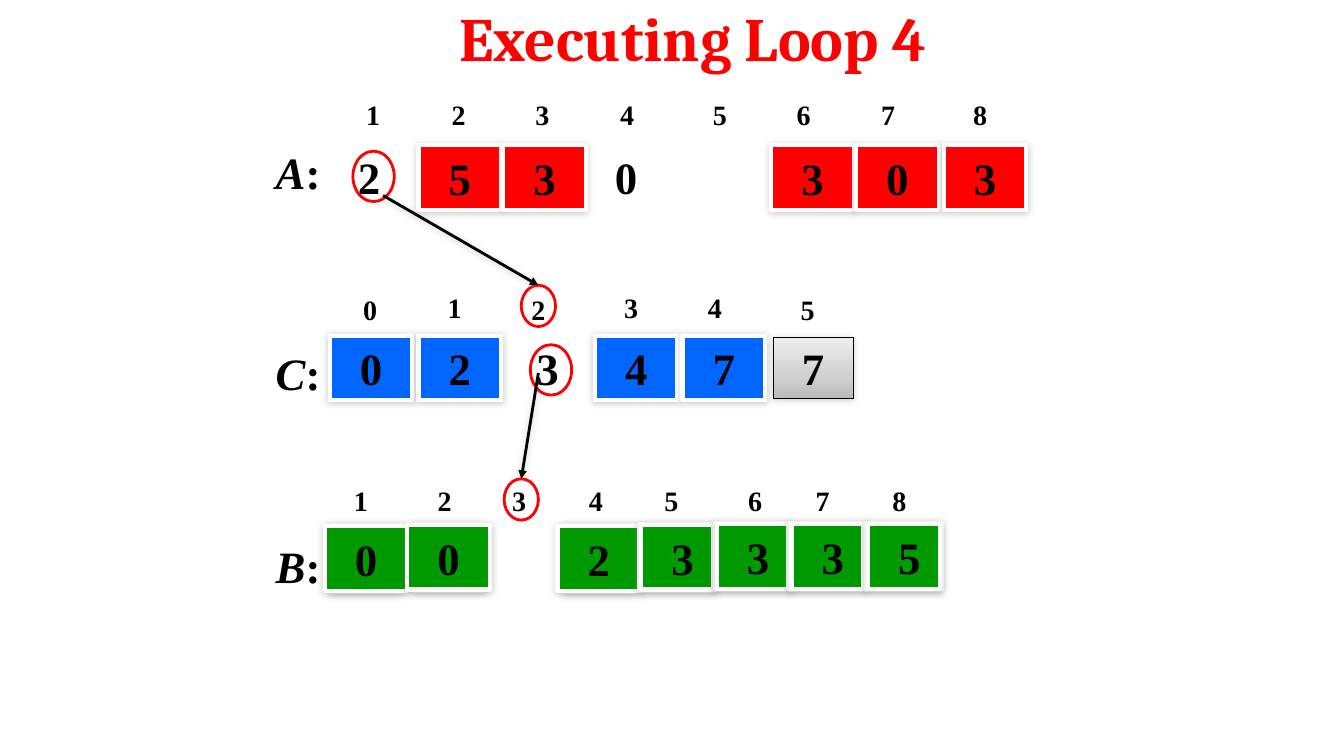
from copy import deepcopy

from pptx import Presentation
from pptx.dml.color import RGBColor
from pptx.enum.shapes import MSO_CONNECTOR, MSO_SHAPE
from pptx.enum.text import MSO_ANCHOR, PP_ALIGN
from pptx.oxml import parse_xml
from pptx.oxml.ns import nsdecls, qn
from pptx.util import Inches, Pt

COLORS = {
    "red": "FF0000", "blue": "0066FF", "green": "009900", "olive": "9BBB59",
    "white": "FFFFFF", "black": "000000", "shadow": "808080",
    "gray dark": "BBBBBB", "gray mid": "D0D0D0", "gray light": "EDEDED",
}
CELL_WIDTH, NARROW_WIDTH, CELL_HEIGHT = 0.82, 0.71, 0.64


def rgb(name):
    return RGBColor.from_string(COLORS[name])


class ArraySlide:
    """Draws array cells, labels, circles and arrows in one style."""

    title_font, font = "Cambria", "Times New Roman"
    inset = 0.05

    def __init__(self, slide):
        self.slide = slide
        self.shapes = slide.shapes

    def set_effects(self, shape, shadow=True):
        """Replace the theme's effect by a soft shadow, or by none."""
        effects = ""
        if shadow:
            effects = (
                f'<a:outerShdw blurRad="{Pt(5)}" dist="{Pt(1)}" dir="5400000" rotWithShape="0">'
                f'<a:srgbClr val="{COLORS["shadow"]}"><a:alpha val="38000"/></a:srgbClr></a:outerShdw>')
        shape.element.spPr.append(
            parse_xml(f'<a:effectLst {nsdecls("a")}>{effects}</a:effectLst>'))

    def set_text(self, shape, text, size, align=PP_ALIGN.CENTER, anchor=MSO_ANCHOR.TOP,
                 font=None, color="black"):
        frame = shape.text_frame
        frame.margin_left = frame.margin_right = Inches(self.inset)
        frame.margin_top = frame.margin_bottom = Inches(self.inset)
        frame.word_wrap = False
        frame.vertical_anchor = anchor
        frame.text = text
        paragraph = frame.paragraphs[0]
        paragraph.alignment = align
        for run in paragraph.runs:
            run.font.name = font or self.font
            run.font.size = Pt(size)
            run.font.bold = True
            run.font.color.rgb = rgb(color)
        return frame

    def title(self, text, left, top, width, height):
        heading = self.shapes.title
        heading.left, heading.top = Inches(left), Inches(top)
        heading.width, heading.height = Inches(width), Inches(height)
        frame = self.set_text(heading, text, 44, anchor=MSO_ANCHOR.MIDDLE,
                              font=self.title_font, color="red")
        frame.word_wrap = True
        frame.margin_right = Inches(0.21)

    def label(self, text, left, top, width, height, size, **style):
        box = self.shapes.add_textbox(Inches(left), Inches(top), Inches(width), Inches(height))
        return self.set_text(box, text, size, **style)

    def index(self, text, left, top):
        self.label(text, left, top, 0.26, 0.41, 20)

    def array_name(self, name, top):
        frame = self.label(name, 2.67, top, 0.56, 0.6, 32, align=PP_ALIGN.RIGHT)
        paragraph = frame.paragraphs[0]
        letter = paragraph.runs[0]
        colon = paragraph.add_run()
        colon.text = ":"
        colon.font.name, colon.font.size = letter.font.name, letter.font.size
        colon.font.bold = True
        colon.font.color.rgb = rgb("black")
        letter.font.italic = True

    def block(self, kind, left, top, width, height, fill, line="white", line_width=3, shadow=True):
        shape = self.shapes.add_shape(
            kind, Inches(left), Inches(top), Inches(width), Inches(height))
        if fill:
            shape.fill.solid()
            shape.fill.fore_color.rgb = rgb(fill)
        else:
            shape.fill.background()
        shape.line.color.rgb = rgb(line)
        shape.line.width = Pt(line_width)
        self.set_effects(shape, shadow)
        return shape

    def cell(self, value, left, top, fill, width=CELL_WIDTH, height=CELL_HEIGHT, **style):
        box = self.block(MSO_SHAPE.RECTANGLE, left, top, width, height, fill, **style)
        self.set_text(box, value, 32, anchor=MSO_ANCHOR.MIDDLE)
        return box

    def sorted_cell(self, value, left, top, narrow):
        """A green cell on a rounded backing; narrow cells hold the value right of centre."""
        back_offset, back_width = (-0.02, 0.75) if narrow else (0.07, 0.68)
        backing = self.block(MSO_SHAPE.ROUNDED_RECTANGLE, left + back_offset, top - 0.01,
                             back_width, 0.66, "olive")
        backing.adjustments[0] = 0.003
        box = self.cell(value, left, top, "green", NARROW_WIDTH if narrow else CELL_WIDTH)
        if narrow:
            box.text_frame.margin_left = Inches(0.16)

    def gray_cell(self, value, left, top):
        box = self.cell(value, left, top, "white", 0.79, 0.6, line="black", line_width=0.25)
        box.fill.gradient()
        box.fill.gradient_angle = 90
        first, last = box.fill.gradient_stops
        first.color.rgb, last.color.rgb = rgb("gray dark"), rgb("gray light")
        stops = box.element.spPr.find(qn("a:gradFill")).find(qn("a:gsLst"))
        middle = deepcopy(stops[0])
        middle.set("pos", "35000")
        middle[0].set("val", COLORS["gray mid"])
        stops.insert(1, middle)

    def circle(self, left, top, width, height):
        return self.block(MSO_SHAPE.OVAL, left, top, width, height, None, "red", 2, shadow=False)

    def arrow(self, start, target):
        """Arrow from a point to the top of a circle."""
        x, y = map(Inches, start)
        line = self.shapes.add_connector(MSO_CONNECTOR.STRAIGHT, x, y, x, y)
        line.end_connect(target, 0)
        line.line.color.rgb = rgb("black")
        line.line.width = Pt(2)
        line.element.spPr.find(qn("a:ln")).append(
            parse_xml(f'<a:tailEnd {nsdecls("a")} type="triangle"/>'))
        self.set_effects(line)


def main():
    deck = Presentation()
    deck.slide_width, deck.slide_height = Inches(13.33), Inches(7.5)
    page = ArraySlide(deck.slides.add_slide(deck.slide_layouts[5]))
    page.title("Executing Loop 4", 2.83, -0.17, 8.25, 1.08)

    for name, top in (("A", 1.39), ("C", 3.38), ("B", 5.3)):
        page.array_name(name, top)

    a_lefts = (3.57, 4.42, 5.25, 6.09, 7.01, 7.84, 8.68, 9.59)
    b_lefts = (3.45, 4.28, 5.02, 5.78, 6.53, 7.36, 8.03, 8.79)
    for lefts, top in ((a_lefts, 0.92), (b_lefts, 4.75)):
        for number, left in enumerate(lefts, 1):
            page.index(str(number), left, top)
    c_indexes = ((3.54, 2.85), (4.38, 2.83), (5.21, 2.85), (6.13, 2.83), (6.96, 2.83), (7.88, 2.85))
    for number, (left, top) in enumerate(c_indexes):
        page.index(str(number), left, top)

    for value, left in zip("53303", (4.15, 4.99, 7.65, 8.49, 9.36)):
        page.cell(value, left, 1.44, "red")
    for value, left in (("2", 3.5), ("0", 6.05)):
        page.label(value, left, 1.44, 0.36, 0.6, 32, align=PP_ALIGN.LEFT)

    for value, left in zip("0247", (3.27, 4.15, 5.9, 6.77)):
        page.cell(value, left, 3.33, "blue")
    page.label("3", 5.04, 3.35, 0.78, 0.6, 32, anchor=MSO_ANCHOR.MIDDLE)
    page.gray_cell("7", 7.67, 3.35)

    for value, left, top in (("0", 3.22, 5.22), ("0", 4.04, 5.21), ("2", 5.53, 5.22),
                             ("3", 6.36, 5.21), ("3", 7.11, 5.2), ("3", 7.85, 5.2),
                             ("5", 8.61, 5.2)):
        page.sorted_cell(value, left, top, narrow=left > 6)

    page.circle(3.5, 1.5, 0.41, 0.5)
    page.circle(5.26, 3.42, 0.41, 0.5)
    c_index_circle = page.circle(5.17, 2.83, 0.34, 0.41)
    b_index_circle = page.circle(5, 4.75, 0.34, 0.41)
    page.arrow((3.8, 1.94), c_index_circle)
    page.arrow((5.34, 3.7), b_index_circle)

    deck.save("out.pptx")


if __name__ == "__main__":
    main()
